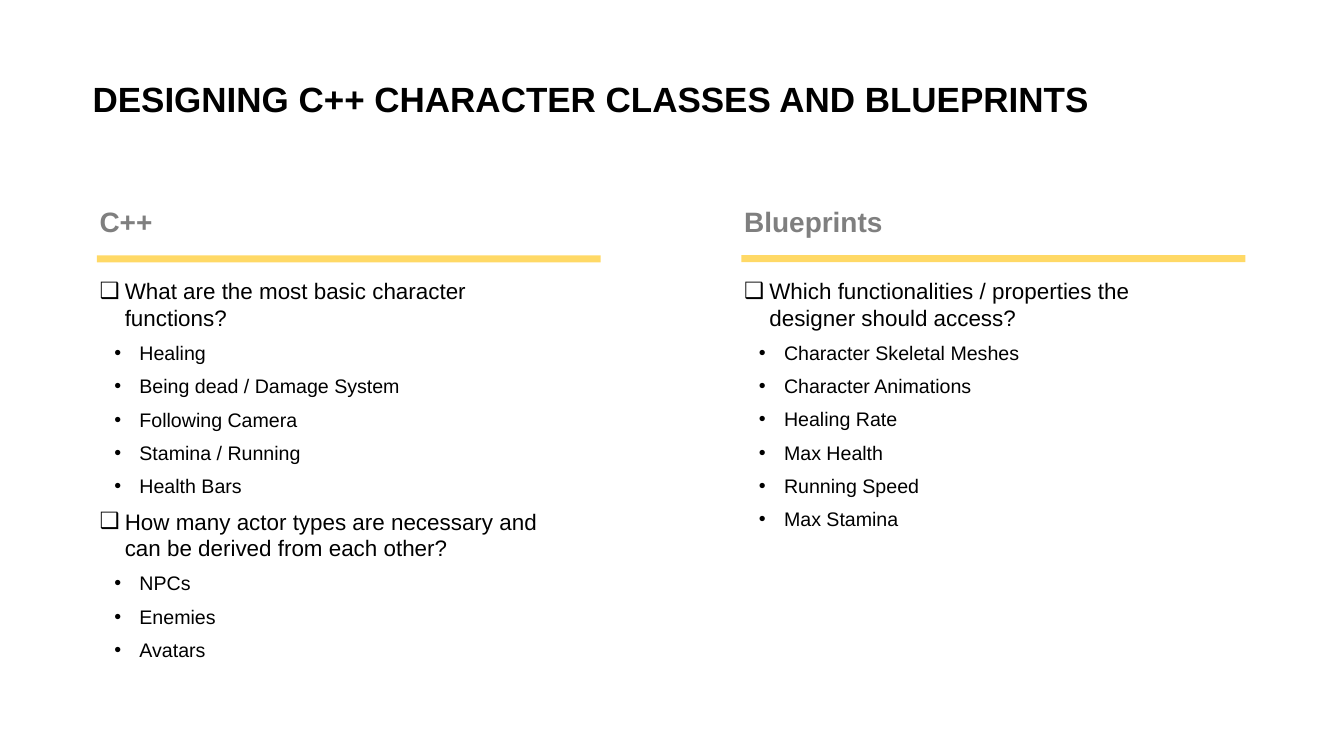
from dataclasses import dataclass

from lxml import etree
from pptx import Presentation
from pptx.dml.color import RGBColor
from pptx.enum import shapes, text
from pptx.oxml import ns
from pptx.util import Pt


@dataclass(frozen=True)
class Theme:
    font: str = "Arial"
    ink: str = "000000"
    heading: str = "7F7F7F"
    accent: str = "FFD966"
    title_size: int = 50
    heading_size: int = 40
    question_size: int = 32
    answer_size: int = 28


THEME = Theme()
COLUMNS = [
    (138.24, 365, 392.4, 84.24, 636.48, "C++", [
        ("What are the most basic character functions?",
         ["Healing", "Being dead / Damage System", "Following Camera",
          "Stamina / Running", "Health Bars"]),
        ("How many actor types are necessary and can be derived from each other?",
         ["NPCs", "Enemies", "Avatars"]),
    ]),
    (1059.12, 364.3, 391.7, 208.08, 373.68, "Blueprints", [
        ("Which functionalities / properties the designer should access?",
         ["Character Skeletal Meshes", "Character Animations", "Healing Rate",
          "Max Health", "Running Speed", "Max Stamina"]),
    ]),
]


def add_text_frame(slide, left, top, width, height):
    box = slide.shapes.add_textbox(Pt(left), Pt(top), Pt(width), Pt(height))
    frame = box.text_frame
    frame.word_wrap = True
    frame.margin_left = frame.margin_right = Pt(4)
    frame.margin_top = frame.margin_bottom = Pt(4)
    return frame


def style_paragraph(paragraph, size, color=THEME.ink, bold=False):
    paragraph.font.name = THEME.font
    paragraph.font.size = Pt(size)
    paragraph.font.bold = bold
    paragraph.font.color.rgb = RGBColor.from_string(color)


def add_line(slide, left, top, width, height, words, size, color):
    paragraph = add_text_frame(slide, left, top, width, height).paragraphs[0]
    paragraph.text = words
    style_paragraph(paragraph, size, color, True)
    return paragraph


def set_bullet(paragraph, character, indent):
    properties = paragraph._p.get_or_add_pPr()
    properties.set("marL", str(Pt(indent)))
    properties.set("indent", str(Pt(-36)))
    color = etree.SubElement(properties, ns.qn("a:buClr"))
    etree.SubElement(color, ns.qn("a:srgbClr"), val=THEME.ink)
    etree.SubElement(properties, ns.qn("a:buFont"), typeface=THEME.font)
    etree.SubElement(properties, ns.qn("a:buChar"), char=character)


def add_questions(slide, left, top, height, questions):
    frame = add_text_frame(slide, left, top, 684, height)
    items = []
    for question, answers in questions:
        items.append((question, "❑", 36, THEME.question_size))
        items += [(answer, "•", 57, THEME.answer_size) for answer in answers]
    for index, (words, character, indent, size) in enumerate(items):
        paragraph = frame.add_paragraph() if index else frame.paragraphs[0]
        paragraph.text = words
        set_bullet(paragraph, character, indent)
        if index:
            paragraph.space_before = Pt(14)
        style_paragraph(paragraph, size)


def add_rule(slide, left, top):
    rule = slide.shapes.add_shape(
        shapes.MSO_SHAPE.RECTANGLE, Pt(left), Pt(top), Pt(720), Pt(10))
    rule.shadow.inherit = False
    rule.fill.solid()
    rule.fill.fore_color.rgb = RGBColor.from_string(THEME.accent)
    rule.line.fill.background()


def main():
    presentation = Presentation()
    presentation.slide_width = Pt(1920)
    presentation.slide_height = Pt(1080)
    slide = presentation.slides.add_slide(presentation.slide_layouts[6])

    title = add_line(slide, 121, 106.5, 1447, 68.5,
                     "DESIGNING C++ CHARACTER CLASSES AND BLUEPRINTS",
                     THEME.title_size, THEME.ink)
    title.alignment = text.PP_ALIGN.CENTER
    for left, rule_top, list_top, heading_width, height, heading, questions in COLUMNS:
        add_line(slide, left, 288, heading_width, 57, heading,
                 THEME.heading_size, THEME.heading)
        add_rule(slide, left, rule_top)
        add_questions(slide, left, list_top, height, questions)

    presentation.save("out.pptx")


if __name__ == "__main__":
    main()
